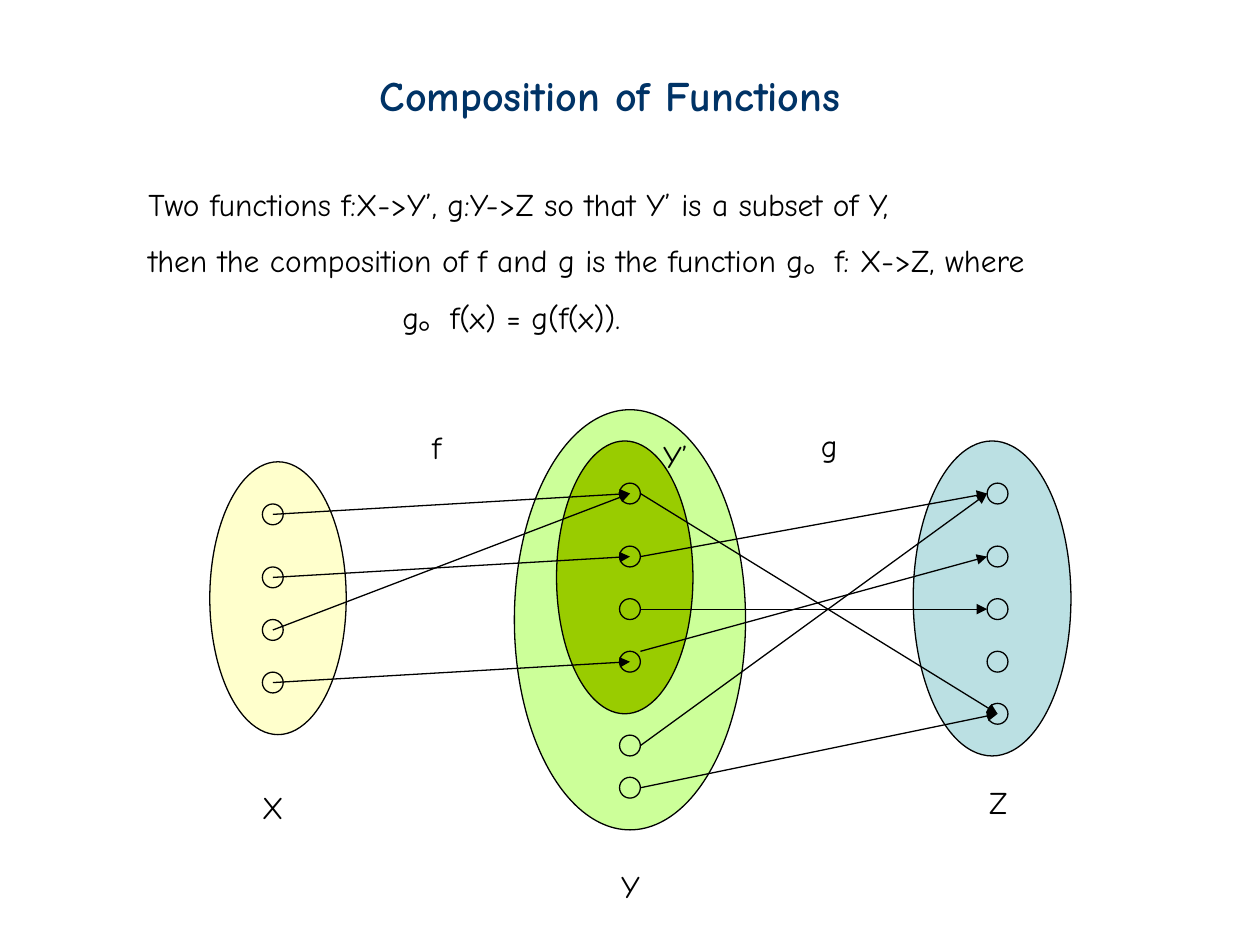
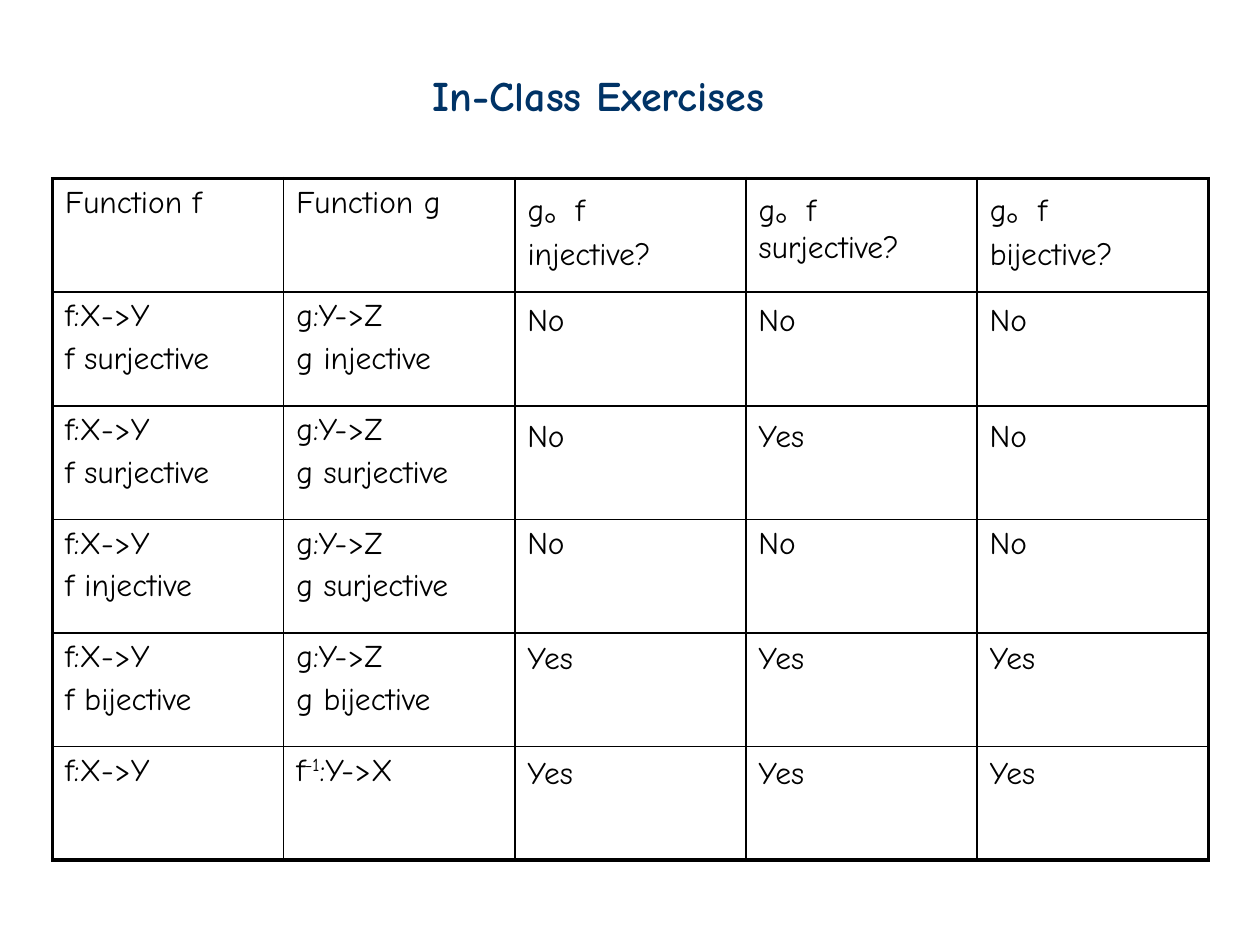
"""Build two slides on the composition of functions."""
from lxml import etree
from pptx import Presentation
from pptx import util as u
from pptx.dml.color import RGBColor
from pptx.enum import shapes
from pptx.oxml import ns

FONT = "Comic Neue"
BLACK = RGBColor(0x00, 0x00, 0x00)
NAVY = RGBColor(0x00, 0x33, 0x66)
CREAM = RGBColor(0xFF, 0xFF, 0xCC)
LIGHT_GREEN = RGBColor(0xCC, 0xFF, 0x99)
GREEN = RGBColor(0x99, 0xCC, 0x00)
PALE_BLUE = RGBColor(0xBB, 0xE0, 0xE3)

LINE_WIDTH = u.Pt(0.75)
RADIUS = 0.21
X_CENTRE, Y_CENTRE, Z_CENTRE = 5.5, 12.7, 20.11
X_DOTS = [10.37, 11.64, 12.7, 13.76]
Y_DOTS = [9.95, 11.22, 12.28, 13.34, 15.03, 15.88]
Z_DOTS = [9.95, 11.22, 12.28, 13.34, 14.39]
F_ARROWS = [(0, 0), (1, 1), (2, 0), (3, 3)]
G_ARROWS = [
    (0, 4, 0, 0),
    (1, 0, 0, RADIUS),
    (2, 2, 0, RADIUS),
    (3, 1, RADIUS, RADIUS),
    (4, 0, 0, RADIUS),
    (5, 4, 0, 0),
]
SETS = [
    (LIGHT_GREEN, 10.37, 8.26, 4.66, 8.47),
    (CREAM, 4.23, 9.31, 2.75, 5.5),
    (GREEN, 11.22, 8.89, 2.75, 5.5),
    (PALE_BLUE, 18.41, 8.89, 3.18, 6.35),
]
LABELS = [
    ("X", 5.03, 15.77),
    ("Y", 12.27, 17.35),
    ("Z", 19.69, 15.67),
    ("Y’", 13.12, 8.69),
    ("f", 8.46, 8.51),
    ("g", 16.3, 8.46),
]

TABLE_LEFT, TABLE_TOP = 1.06, 3.6
COLUMN_WIDTH, ROW_HEIGHT = 4.66, 2.29
EXERCISES = [
    ["Function f", "Function g", "g。f\ninjective?", "g。f surjective?", "g。f\nbijective?"],
    ["f:X->Y\nf surjective", "g:Y->Z\ng injective"],
    ["f:X->Y\nf surjective", "g:Y->Z\ng surjective"],
    ["f:X->Y\nf injective", "g:Y->Z\ng surjective"],
    ["f:X->Y\nf bijective", "g:Y->Z\ng bijective"],
    ["f:X->Y", "f^-1^:Y->X"],
]
ANSWERS = [
    (5.93, ["No", "No", "No"]),
    (8.26, ["No", "Yes", "No"]),
    (10.41, ["No", "No", "No"]),
    (12.73, ["Yes", "Yes", "Yes"]),
    (15.05, ["Yes", "Yes", "Yes"]),
]


def style(span, size=18, color=BLACK, bold=False):
    """Give a run the shared font."""
    span.font.name = FONT
    span.font.size = u.Pt(size)
    span.font.color.rgb = color
    span.font.bold = bold


def add_text(slide, words, left, top, width, height=1.02, **look):
    """Add a left-aligned text box and return its text frame."""
    box = slide.shapes.add_textbox(u.Cm(left), u.Cm(top), u.Cm(width), u.Cm(height))
    frame = box.text_frame
    frame.word_wrap = True
    frame.text = words
    for para in frame.paragraphs:
        for span in para.runs:
            style(span, **look)
    return frame


def add_title(slide, words, left, width):
    """Add a slide title."""
    add_text(slide, words, left, 1.27, width, 1.27, size=24, color=NAVY, bold=True)


def add_ellipse(slide, left, top, width, height, fill=None):
    """Add an outlined ellipse, hollow unless a fill is given."""
    oval = slide.shapes.add_shape(
        shapes.MSO_SHAPE.OVAL, u.Cm(left), u.Cm(top), u.Cm(width), u.Cm(height))
    oval.shadow.inherit = False
    oval.line.color.rgb = BLACK
    oval.line.width = LINE_WIDTH
    if fill is None:
        oval.fill.background()
    else:
        oval.fill.solid()
        oval.fill.fore_color.rgb = fill


def add_dots(slide, centre, heights):
    """Add a column of set elements."""
    for height in heights:
        add_ellipse(slide, centre - RADIUS, height - RADIUS, 2 * RADIUS, 2 * RADIUS)


def add_arrow(slide, x1, y1, x2, y2):
    """Add a straight arrow pointing at its second end."""
    arrow = slide.shapes.add_connector(
        shapes.MSO_CONNECTOR.STRAIGHT, u.Cm(x1), u.Cm(y1), u.Cm(x2), u.Cm(y2))
    arrow.line.color.rgb = BLACK
    arrow.line.width = LINE_WIDTH
    etree.SubElement(arrow.line._get_or_add_ln(), ns.qn("a:tailEnd"), type="triangle")
    etree.SubElement(arrow._element.spPr, ns.qn("a:effectLst"))


def set_border(cell, side, points):
    """Draw one black side of a table cell."""
    edge = etree.SubElement(
        cell._tc.get_or_add_tcPr(), ns.qn(f"a:ln{side}"), w=str(u.Pt(points)))
    fill = etree.SubElement(edge, ns.qn("a:solidFill"))
    etree.SubElement(fill, ns.qn("a:srgbClr"), val=str(BLACK))


def fill_cell(cell, words):
    """Write the lines of a cell, raising the parts between carets."""
    for number, line in enumerate(words.split("\n")):
        para = cell.text_frame.add_paragraph() if number else cell.text_frame.paragraphs[0]
        if number:
            para.space_before = u.Pt(3.6)
        for index, part in enumerate(line.split("^")):
            span = para.add_run()
            span.text = part
            style(span)
            if index % 2:
                span._r.get_or_add_rPr().set("baseline", "30000")


def add_grid(slide, rows):
    """Add the exercise table with a heavy outer frame."""
    row_count, column_count = len(rows), len(rows[0])
    table = slide.shapes.add_table(
        row_count, column_count, u.Cm(TABLE_LEFT), u.Cm(TABLE_TOP),
        u.Cm(column_count * COLUMN_WIDTH), u.Cm(row_count * ROW_HEIGHT)).table
    table.first_row = table.horz_banding = False
    for column in table.columns:
        column.width = u.Cm(COLUMN_WIDTH)
    for r, row in enumerate(table.rows):
        row.height = u.Cm(ROW_HEIGHT)
        for c, cell in enumerate(row.cells):
            outer = {"L": c == 0, "R": c == column_count - 1,
                     "T": r == 0, "B": r == row_count - 1}
            for side, heavy in outer.items():
                set_border(cell, side, 2.25 if heavy else 1)
            cell.fill.background()
            if c < len(rows[r]):
                fill_cell(cell, rows[r][c])


def build_composition(slide):
    """Define composition and draw it as mappings between sets."""
    add_title(slide, "Composition of Functions", 7.41, 10.6)
    frame = add_text(
        slide,
        "Two functions f:X->Y’, g:Y->Z so that Y’ is a subset of Y,\n"
        "then the composition of f and g is the function g。f: X->Z, where\n"
        "g。f(x) = g(f(x)).",
        2.74, 3.6, 20.8, 3.3)
    for para in frame.paragraphs[1:]:
        para.line_spacing = 1.5
    frame.paragraphs[2]._p.get_or_add_pPr().set("marL", str(u.Cm(5.12)))

    for fill, *place in SETS:
        add_ellipse(slide, *place, fill=fill)
    add_dots(slide, X_CENTRE, X_DOTS)
    add_dots(slide, Y_CENTRE, Y_DOTS)
    add_dots(slide, Z_CENTRE, Z_DOTS)
    for start, end in F_ARROWS:
        add_arrow(slide, X_CENTRE, X_DOTS[start], Y_CENTRE, Y_DOTS[end])
    for start, end, rise, inset in G_ARROWS:
        add_arrow(slide, Y_CENTRE + RADIUS, Y_DOTS[start] - rise,
                  Z_CENTRE - inset, Z_DOTS[end])
    for words, left, top in LABELS:
        add_text(slide, words, left, top, 1.1)


def build_exercises(slide):
    """Lay out the exercise table and its answers."""
    add_grid(slide, EXERCISES)
    add_title(slide, "In-Class Exercises", 8.47, 8.23)
    for top, answers in ANSWERS:
        for column, answer in enumerate(answers, start=2):
            add_text(slide, answer, TABLE_LEFT + column * COLUMN_WIDTH, top, 1.57)


def main():
    """Build and save the deck."""
    deck = Presentation()
    deck.slide_width, deck.slide_height = u.Cm(25.4), u.Cm(19.05)
    for build in (build_composition, build_exercises):
        build(deck.slides.add_slide(deck.slide_layouts[6]))
    deck.save("out.pptx")


if __name__ == "__main__":
    main()
